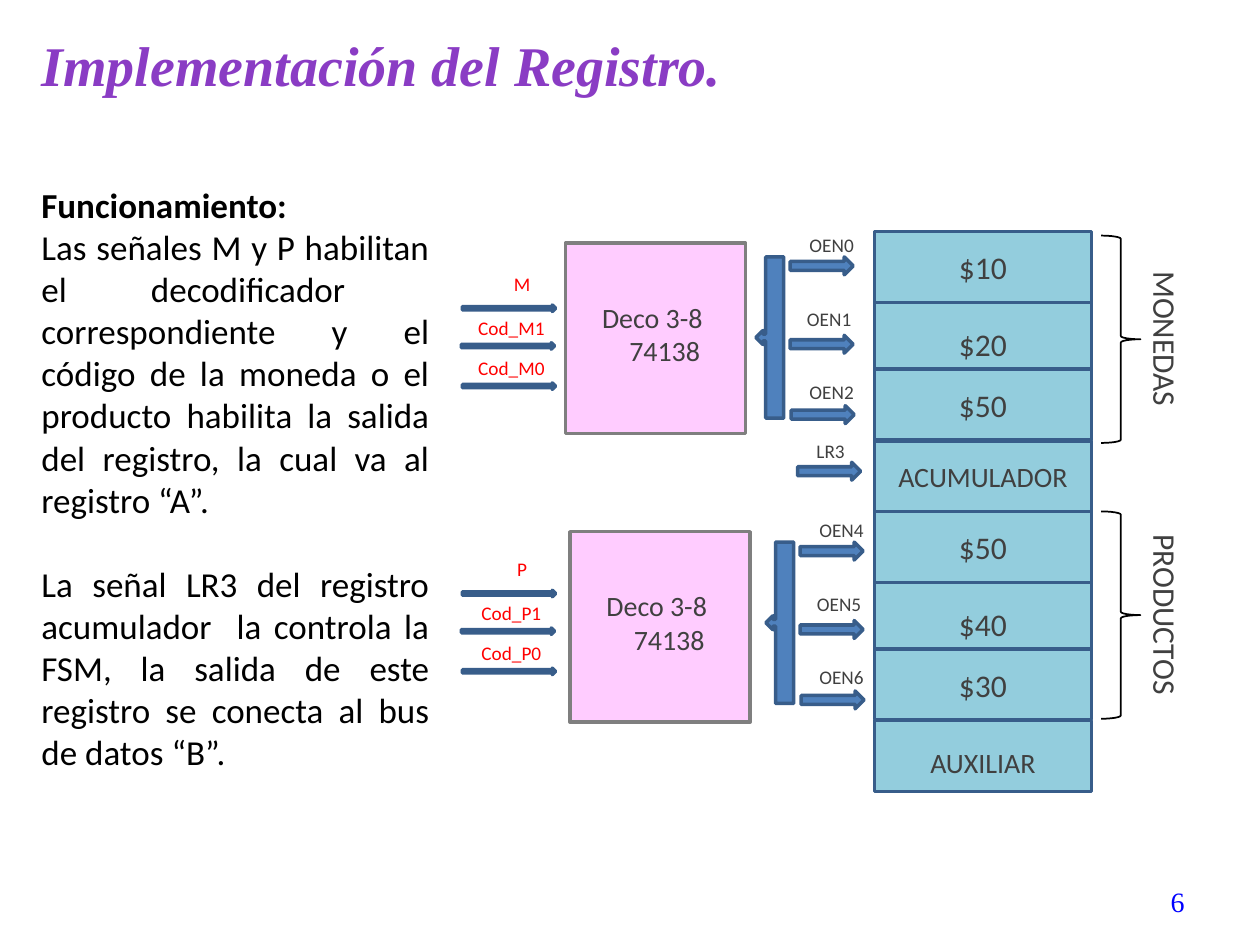
from lxml.etree import SubElement
from pptx import Presentation
from pptx.dml.color import RGBColor
from pptx.enum.shapes import MSO_SHAPE
from pptx.enum.text import MSO_ANCHOR, MSO_AUTO_SIZE, PP_ALIGN
from pptx.oxml.ns import qn
from pptx.util import Cm, Pt

COLORS = {
    "title": "8A3CC4", "number": "0000FF", "body": "000000", "label": "404040",
    "signal": "FF0000", "decoder": "FFCCFF", "decoder line": "7F7F7F",
    "arrow": "4F81BD", "outline": "385D8A", "register": "93CDDD", "brace": "000000",
}
TITLE = "Implementación del Registro."
BODY = [
    "Funcionamiento:",
    "Las señales M y P habilitan el decodificador  correspondiente y el código de la "
    "moneda o el producto habilita la salida del registro, la cual va al registro “A”.",
    "La señal LR3 del registro acumulador  la controla la FSM, la salida de este "
    "registro se conecta al bus de datos “B”.",
]
DECODER = ["Deco 3-8", "74138"]
BLOCKS = [
    {"inputs": ["M", "Cod_M1", "Cod_M0"], "outputs": ["OEN0", "OEN1", "OEN2"],
     "registers": ["$10", "$20", "$50", "ACUMULADOR"], "group": "MONEDAS"},
    {"inputs": ["P", "Cod_P1", "Cod_P0"], "outputs": ["OEN4", "OEN5", "OEN6"],
     "registers": ["$50", "$40", "$30", "AUXILIAR"], "group": "PRODUCTOS"},
]

# Places in cm for the first block, and how far the second block moves down
INPUT_ARROWS = [(9.32, 6.15), (9.3, 6.91), (9.32, 7.72)]
INPUT_LABELS = [(9.32, 5.36), (9.37, 6.25), (9.37, 7.06)]
OUTPUT_ARROWS = [(15.93, 5.18), (15.93, 6.76), (15.95, 8.18)]
OUTPUT_LABELS = [(15.9, 4.57), (15.85, 6.07), (15.9, 7.54)]
REGISTER_TOPS = [4.67, 6.1, 7.44, 8.89]
STEP = {"decoder": 5.82, "input": 5.75, "output": 5.75, "register": 5.64, "group": 5.56}


def style(font, size, color, **extras):
    values = {"name": "Calibri", "size": Pt(size), "bold": False, **extras}
    for name, value in values.items():
        setattr(font, name, value)
    font.color.rgb = RGBColor.from_string(COLORS[color])


def write(shape, lines, size, color, align=PP_ALIGN.CENTER, indents=(), **extras):
    """Fill the shape with lines; indents gives left margins in cm, line by line."""
    frame = shape.text_frame
    frame.word_wrap = True
    frame.text = "\n".join(lines)
    for para in frame.paragraphs:
        para.alignment = align
        for span in para.runs:
            style(span.font, size, color, **extras)
    for para, indent in zip(frame.paragraphs, indents):
        para._p.get_or_add_pPr().set("marL", str(Cm(indent)))
    return frame


def add_label(page, place, text, size, color, **options):
    box = page.shapes.add_textbox(*map(Cm, place))
    write(box, [text], size, color, **options)
    return box


def add_block(page, kind, place, fill, line, width=2, adjustments=()):
    shape = page.shapes.add_shape(kind, *map(Cm, place))
    shape.shadow.inherit = False
    if fill:
        shape.fill.solid()
        shape.fill.fore_color.rgb = RGBColor.from_string(COLORS[fill])
    else:
        shape.fill.background()
    shape.line.color.rgb = RGBColor.from_string(COLORS[line])
    shape.line.width = Pt(width)
    for index, value in enumerate(adjustments):
        shape.adjustments[index] = value
    return shape


def add_arrow(page, left, top, width, height):
    add_block(page, MSO_SHAPE.RIGHT_ARROW, (left, top, width, height), "arrow", "outline")


def add_output(page, arrow, label, text):
    add_arrow(page, *arrow, 1.27, 0.36)
    add_label(page, (*label, 1.73, 0.74), text, 11, "label")


def add_text(page):
    title = page.shapes.title
    body = page.placeholders[1]
    for box, place in ((title, (0.58, 0.41, 21.6, 1.78)), (body, (0.58, 3.58, 8.33, 13.82))):
        box.left, box.top, box.width, box.height = map(Cm, place)
    frame = write(title, [TITLE], 32, "title", PP_ALIGN.LEFT,
                  name="Times New Roman", bold=True, italic=True)
    frame.vertical_anchor = MSO_ANCHOR.MIDDLE
    frame.auto_size = MSO_AUTO_SIZE.NONE
    frame = write(body, BODY, 20, "body", PP_ALIGN.JUSTIFY)
    frame.auto_size = MSO_AUTO_SIZE.NONE
    for para, gap in zip(frame.paragraphs, (0, 0, 24)):
        para.space_before = Pt(gap)
        properties = para._p.get_or_add_pPr()
        properties.set("marL", "0")
        properties.set("indent", "0")
        SubElement(properties, qn("a:buNone"))
    frame.paragraphs[0].runs[0].font.bold = True
    number = add_label(page, (18.21, 17.65, 5.92, 1.02), "6", 16, "number",
                       align=PP_ALIGN.RIGHT, name="Times New Roman")
    number.text_frame.vertical_anchor = MSO_ANCHOR.MIDDLE


def add_decoder(page, block, row):
    top = 4.9 + row * STEP["decoder"]
    decoder = add_block(page, MSO_SHAPE.FLOWCHART_PROCESS, (11.4 + row * 0.09, top, 3.63, 3.84),
                        "decoder", "decoder line")
    frame = write(decoder, DECODER, 16, "label", indents=(0, 0.5))
    frame.vertical_anchor = MSO_ANCHOR.MIDDLE
    frame.margin_right, frame.margin_bottom = Cm(0.38), Cm(0.31)

    down = row * STEP["input"]
    for index, text in enumerate(block["inputs"]):
        left, top = INPUT_ARROWS[index]
        add_arrow(page, left, top + down, 1.88, 0.13)
        left, top = INPUT_LABELS[index]
        add_label(page, (left, top + down, 1.88, 0.74), text, 11, "signal",
                  indents=(0 if index else 0.53,))

    right, down = row * 0.2, row * STEP["output"]
    for arrow, label, text in zip(OUTPUT_ARROWS, OUTPUT_LABELS, block["outputs"]):
        add_output(page, (arrow[0] + right, arrow[1] + down),
                   (label[0] + right, label[1] + down), text)
    add_block(page, MSO_SHAPE.LEFT_ARROW_CALLOUT, (15.24 + right, 5.18 + down, 0.56, 3.25),
              "arrow", "outline", adjustments=(0.25, 0.25, 0.25, 0.65))


def add_registers(page, block, row):
    for index, (top, text) in enumerate(zip(REGISTER_TOPS, block["registers"])):
        cell = add_block(page, MSO_SHAPE.FLOWCHART_PROCESS,
                         (17.63, top + row * STEP["register"], 4.37, 1.43),
                         "register", "outline")
        frame = write(cell, [text], 18 if text.startswith("$") else 16, "label")
        frame.vertical_anchor = MSO_ANCHOR.MIDDLE
        lowered = index == 1 or text == "AUXILIAR"
        frame.margin_top = Cm(0.36 if lowered else 0.13)

    down = row * STEP["group"]
    add_block(page, MSO_SHAPE.RIGHT_BRACE, (22.2, 4.75 + down, 0.79, 4.18), None, "brace", 1)
    name = add_label(page, (21.62, 6.32 + down, 3.76, 1.02), block["group"], 18, "label")
    name.rotation = 90


def main():
    deck = Presentation()
    deck.slide_width, deck.slide_height = Cm(25.4), Cm(19.05)
    page = deck.slides.add_slide(deck.slide_layouts[1])
    add_text(page)
    for row, block in enumerate(BLOCKS):
        add_decoder(page, block, row)
        add_registers(page, block, row)
    add_output(page, (16.08, 9.32), (15.88, 8.74), "LR3")
    deck.save("out.pptx")


if __name__ == "__main__":
    main()
